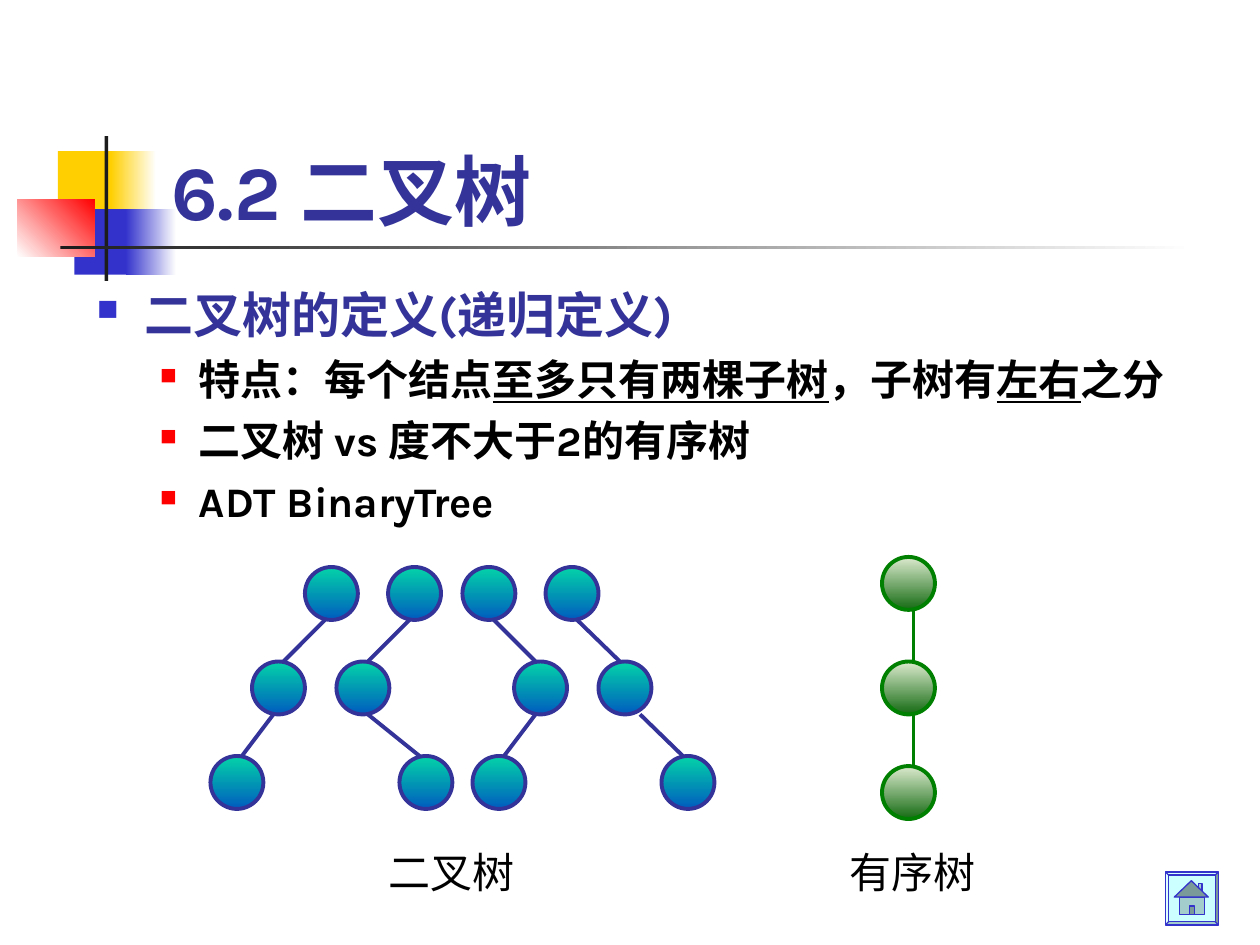
from lxml import etree
from pptx import Presentation
from pptx.dml.color import RGBColor
from pptx.enum.shapes import MSO_CONNECTOR, MSO_SHAPE
from pptx.enum.text import MSO_ANCHOR, PP_ALIGN
from pptx.oxml.ns import qn
from pptx.util import Inches, Pt

RECTANGLE, OVAL, BEVEL = MSO_SHAPE.RECTANGLE, MSO_SHAPE.OVAL, MSO_SHAPE.BEVEL
TRIANGLE = MSO_SHAPE.ISOSCELES_TRIANGLE
STRAIGHT = MSO_CONNECTOR.STRAIGHT
TOP, MIDDLE, BOTTOM = MSO_ANCHOR.TOP, MSO_ANCHOR.MIDDLE, MSO_ANCHOR.BOTTOM
CENTER = PP_ALIGN.CENTER

INDIGO, BLUE, BLACK, WHITE = "333399", "3333CC", "000000", "FFFFFF"
NODE_SIZE = 0.42

# left, top, width, height, fill (one colour, or start, end and angle)
DECORATION = [
    (0.46, 1.2, 0.48, 0.52, "FFCF01"),
    (0.88, 1.2, 0.36, 0.52, ("FFCF01", WHITE, 0)),
    (0.59, 1.66, 0.46, 0.52, BLUE),
    (1, 1.66, 0.4, 0.52, (BLUE, WHITE, 0)),
    (0.14, 1.58, 0.61, 0.46, (WHITE, "FF0000", 45)),
    (0.83, 1.08, 0.03, 1.15, "1C1C1C"),
    (0.48, 1.95, 9, 0.03, ("1C1C1C", WHITE, 0)),
]

TITLE = [[("6.2 二叉树", False)]]
HEADING = [("二叉树的定义(递归定义)", False)]
POINTS = [  # runs of (text, underlined)
    [("特点：每个结点", False), ("至多只有两棵子树", True), ("，子树有", False),
     ("左右", True), ("之分", False)],
    [("二叉树 vs 度不大于2的有序树", False)],
    [("ADT BinaryTree", False)],
]

FORESTS = [
    {
        "label": "二叉树", "label_left": 2.92, "line": INDIGO,
        "fill": ("03D4A8", "005CBF", 270), "tops": (4.5, 5.25, 6),
        # left of each node, then the two ends of each edge across
        "trees": [
            ((2.42, 2, 1.67), ((2.58, 2.25), (2.17, 1.92))),
            ((3.08, 2.67, 3.17), ((3.25, 2.92), (2.92, 3.33))),
            ((3.67, 4.08, 3.75), ((3.92, 4.25), (4.25, 4))),
            ((4.33, 4.75, 5.25), ((4.58, 4.92), (5.08, 5.42))),
        ],
    },
    {
        "label": "有序树", "label_left": 6.58, "line": "008000",
        "fill": ("DDEBCF", "156B13", 270), "tops": (4.42, 5.25, 6.08),
        "trees": [((7, 7, 7), ((7.25, 7.25), (7.25, 7.25)))],
    },
]

HOME_BUTTON = [
    (BEVEL, 9.25, 6.92, 0.42, 0.42, "CCFFFF"),
    (RECTANGLE, 9.51, 7.01, 0.03, 0.07, "A3CCCC"),
    (RECTANGLE, 9.36, 7.12, 0.2, 0.14, "A3CCCC"),
    (TRIANGLE, 9.32, 6.99, 0.27, 0.13, "7A9999"),
    (RECTANGLE, 9.44, 7.19, 0.04, 0.07, "7A9999"),
]


def color(hex_string):
    return RGBColor.from_string(hex_string)


def add_shape(shapes, kind, left, top, width, height, fill, line=None, weight=2.25):
    shape = shapes.add_shape(kind, *map(Inches, (left, top, width, height)))
    shape.shadow.inherit = False
    if isinstance(fill, str):
        shape.fill.solid()
        shape.fill.fore_color.rgb = color(fill)
    else:
        start, end, angle = fill
        shape.fill.gradient()
        shape.fill.gradient_angle = angle
        for stop, shade in zip(shape.fill.gradient_stops, (start, end)):
            stop.color.rgb = color(shade)
    if line:
        shape.line.color.rgb = color(line)
        shape.line.width = Pt(weight)
    else:
        shape.line.fill.background()
    return shape


def add_edge(shapes, start, end, line):
    edge = shapes.add_connector(STRAIGHT, *map(Inches, start + end))
    edge.line.color.rgb = color(line)
    edge.line.width = Pt(2.25)
    etree.SubElement(edge._element.spPr, qn("a:effectLst"))


def set_bullet(paragraph, shade, percent, indent, hanging):
    properties = paragraph._p.get_or_add_pPr()
    properties.set("marL", str(Inches(indent)))
    properties.set("indent", str(-Inches(hanging)))
    bullet_color = etree.SubElement(properties, qn("a:buClr"))
    etree.SubElement(bullet_color, qn("a:srgbClr"), val=shade)
    etree.SubElement(properties, qn("a:buSzPct"), val=str(percent * 1000))
    etree.SubElement(properties, qn("a:buChar"), char="■")


def write(shape, paragraphs, size, shade, font="Karla", bold=True, align=None,
          anchor=TOP, wrap=True, space_before=0, bullet=None, append=False):
    """Write paragraphs made of (text, underlined) runs into a shape."""
    frame = shape.text_frame
    frame.word_wrap = wrap
    frame.vertical_anchor = anchor
    for index, runs in enumerate(paragraphs):
        new = append or index > 0
        paragraph = frame.add_paragraph() if new else frame.paragraphs[0]
        paragraph.alignment = align
        paragraph.space_before = Pt(space_before)
        if bullet:
            set_bullet(paragraph, *bullet)
        for text, underlined in runs:
            run = paragraph.add_run()
            run.text = text
            run.font.name = font
            run.font.size = Pt(size)
            run.font.bold = bold
            run.font.underline = underlined
            run.font.color.rgb = color(shade)


def add_forest(slide, forest):
    shapes = slide.shapes.add_group_shape().shapes
    tops, line = forest["tops"], forest["line"]
    for lefts, edges in forest["trees"]:
        for left, top in zip(lefts, tops):
            add_shape(shapes, OVAL, left, top, NODE_SIZE, NODE_SIZE, forest["fill"], line)
        for (start, end), upper, lower in zip(edges, tops, tops[1:]):
            add_edge(shapes, (start, upper + NODE_SIZE), (end, lower), line)
    label = add_shape(slide.shapes, RECTANGLE, forest["label_left"], 6.67, 1.33, 0.5, WHITE)
    write(label, [[(forest["label"], False)]], 24, BLACK, font="Times New Roman",
          bold=False, align=CENTER, anchor=MIDDLE, wrap=False)


def main():
    presentation = Presentation()
    presentation.slide_width, presentation.slide_height = Inches(10), Inches(7.5)
    slide = presentation.slides.add_slide(presentation.slide_layouts[6])

    for *box, fill in DECORATION:
        add_shape(slide.shapes, RECTANGLE, *box, fill)

    title = slide.shapes.add_textbox(*map(Inches, (1.26, 0.67, 8.52, 1.25)))
    write(title, TITLE, 44, INDIGO, anchor=BOTTOM)
    body = slide.shapes.add_textbox(*map(Inches, (0.67, 2.21, 9.13, 2.13)))
    write(body, [HEADING], 28, INDIGO, space_before=7, bullet=(BLUE, 60, 0.38, 0.38))
    write(body, POINTS, 24, BLACK, space_before=6, append=True,
          bullet=("FF0000", 55, 0.81, 0.31))

    for kind, *box, fill in HOME_BUTTON:
        part = add_shape(slide.shapes, kind, *box, fill, BLUE, 0.75)
        if kind == BEVEL:
            part.adjustments[0] = 0.06
    for forest in FORESTS:
        add_forest(slide, forest)
    presentation.save("out.pptx")


if __name__ == "__main__":
    main()
